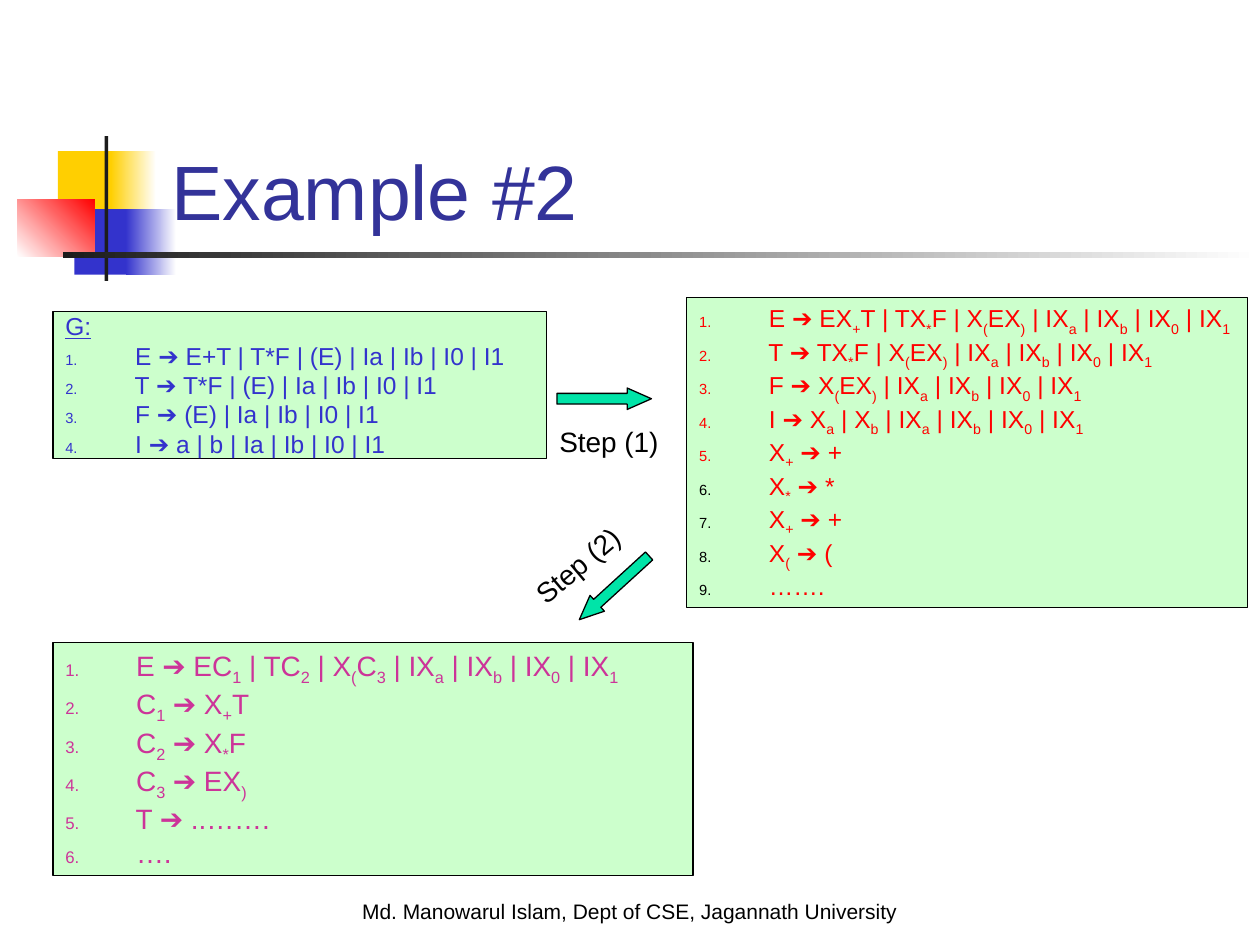
from lxml.etree import SubElement as Sub
from pptx import Presentation
from pptx.dml.color import RGBColor
from pptx.enum.shapes import MSO_SHAPE as Kind
from pptx.enum.text import MSO_ANCHOR as Anchor, MSO_AUTO_SIZE as Fit, PP_ALIGN as Align
from pptx.oxml.ns import qn
from pptx.util import Inches, Pt

THEME = dict(
    font="Arial", title=44, label=16, foot=12,
    navy="333399", blue="3333CC", gold="FFCF01", red="FF0000", pink="CC3499",
    dark="1C1C1C", black="000000", white="FFFFFF", mint="CCFFCC", teal="00E4A8",
)

TITLE = "Example #2"
FOOTER = "Md. Manowarul Islam, Dept of CSE, Jagannath University"

# place, fill colours (two make a gradient), gradient angle
DECOR = [
    ((0.46, 1.2, 0.48, 0.52), ["gold"], 0),
    ((0.88, 1.2, 0.36, 0.52), ["gold", "white"], 0),
    ((0.59, 1.66, 0.46, 0.52), ["blue"], 0),
    ((1, 1.66, 0.4, 0.52), ["blue", "white"], 0),
    ((0.14, 1.58, 0.61, 0.46), ["white", "red"], 45),
    ((0.83, 1.08, 0.03, 1.15), ["dark"], 0),
    ((0.5, 2, 9.5, 0.05), ["dark", "white"], 0),
]

# In rules, "_" lowers the one character after it.
ENDS = "IX_a | IX_b | IX_0 | IX_1"
PAREN = "X_(EX_) | " + ENDS
GRAMMARS = [
    dict(at=(0.42, 2.47, 3.92, 1.17), size=14, hue="blue", pad=0, wrap=True, head="G:",
         rules=["E ➔ E+T | T*F | (E) | Ia | Ib | I0 | I1",
                "T ➔ T*F | (E) | Ia | Ib | I0 | I1",
                "F ➔ (E) | Ia | Ib | I0 | I1",
                "I ➔ a | b | Ia | Ib | I0 | I1"]),
    dict(at=(5.45, 2.36, 4.45, 2.46), size=14, hue="red", pad=0.05, wrap=False, plain=6,
         rules=["E ➔ EX_+T | TX_*F | " + PAREN,
                "T ➔ TX_*F | " + PAREN,
                "F ➔ " + PAREN,
                "I ➔ X_a | X_b | " + ENDS,
                "X_+ ➔ +", "X_* ➔ *", "X_+ ➔ +", "X_( ➔ (", "……."]),
    dict(at=(0.42, 5.1, 5.08, 1.85), size=16, hue="pink", pad=0.05, wrap=True,
         rules=["E ➔ EC_1 | TC_2 | X_(C_3 | " + ENDS,
                "C_1 ➔ X_+T", "C_2 ➔ X_*F", "C_3 ➔ EX_)", "T ➔ ..…….", "…."]),
]

# label, label place, arrow place, label turn, arrow turn
STEPS = [
    ("Step (1)", (4.34, 3.32, 0.99, 0.37), (4.42, 3.08, 0.75, 0.17), 0, 0),
    ("Step (2)", (4.09, 4.3, 0.99, 0.37), (4.5, 4.58, 0.75, 0.17), 319.9, 137.6),
]


def color(name):
    return RGBColor.from_string(THEME[name])


def box(at):
    return [Inches(v) for v in at]


def style(run, size, hue):
    run.font.name = THEME["font"]
    run.font.size = Pt(size)
    run.font.color.rgb = color(hue)


def add_block(slide, at, fills, angle=0, kind=Kind.RECTANGLE, edge=False):
    shape = slide.shapes.add_shape(kind, *box(at))
    shape.shadow.inherit = False
    if len(fills) == 1:
        shape.fill.solid()
        shape.fill.fore_color.rgb = color(fills[0])
    else:
        shape.fill.gradient()
        shape.fill.gradient_angle = angle
        for stop, name in zip(shape.fill.gradient_stops, fills):
            stop.color.rgb = color(name)
    if edge:
        shape.line.color.rgb = color("black")
        shape.line.width = Pt(0.75)
    else:
        shape.line.fill.background()
    return shape


def add_label(slide, at, text, size, align=Align.LEFT, wrap=False):
    label = slide.shapes.add_textbox(*box(at))
    frame = label.text_frame
    frame.word_wrap = wrap
    frame.text = text
    para = frame.paragraphs[0]
    para.alignment = align
    style(para.runs[0], size, "black")
    return label


def number(para, hue):
    """Give the paragraph a small automatic number in a hanging indent."""
    props = para._p.get_or_add_pPr()
    props.set("marL", str(Inches(0.5)))
    props.set("indent", str(-Inches(0.5)))
    Sub(Sub(props, qn("a:buClr")), qn("a:srgbClr")).set("val", THEME[hue])
    Sub(props, qn("a:buSzPct")).set("val", "60000")
    Sub(props, qn("a:buFont")).set("typeface", THEME["font"])
    Sub(props, qn("a:buAutoNum")).set("type", "arabicPeriod")


def write_rule(para, rule, size, hue):
    first, *rest = rule.split("_")
    parts = [(" " + first, False)]
    for piece in rest:
        parts += [(piece[0], True), (piece[1:], False)]
    for text, low in parts:
        if text:
            run = para.add_run()
            run.text = text
            style(run, size, hue)
            if low:
                run.font._element.set("baseline", "-25000")


def add_grammar(slide, data):
    size, hue, rules = data["size"], data["hue"], data["rules"]
    frame = add_block(slide, data["at"], ["mint"], edge=True).text_frame
    frame.word_wrap = data["wrap"]
    frame.auto_size = Fit.SHAPE_TO_FIT_TEXT
    frame.vertical_anchor = Anchor.TOP
    frame.margin_top = frame.margin_bottom = Inches(data["pad"])
    para = frame.paragraphs[0]
    para.alignment = Align.LEFT
    if "head" in data:
        para.text = data["head"]
        style(para.runs[0], size, hue)
        para.runs[0].font.underline = True
    plain = data.get("plain", len(rules) + 1)  # numbers are black from here on
    for n, rule in enumerate(rules, 1):
        if n > 1 or "head" in data:
            para = frame.add_paragraph()
            para.alignment = Align.LEFT
        number(para, "black" if n >= plain else hue)
        write_rule(para, rule, size, hue)


def add_title(slide):
    title = slide.shapes.title
    title.left, title.top, title.width, title.height = box((1.26, 0.67, 8.52, 1.25))
    frame = title.text_frame
    frame.text = TITLE
    frame.auto_size = Fit.NONE
    frame.vertical_anchor = Anchor.BOTTOM
    para = frame.paragraphs[0]
    para.alignment = Align.LEFT
    style(para.runs[0], THEME["title"], "navy")


def main():
    deck = Presentation()
    deck.slide_width, deck.slide_height = Inches(10), Inches(7.5)
    slide = deck.slides.add_slide(deck.slide_layouts[5])
    for at, fills, angle in DECOR:
        add_block(slide, at, fills, angle)
    add_label(slide, (0, 7.08, 10, 0.3), FOOTER, THEME["foot"], Align.CENTER, True)
    add_title(slide)
    for data in GRAMMARS:
        add_grammar(slide, data)
    for text, spot, at, tilt, turn in STEPS:
        arrow = add_block(slide, at, ["teal"], kind=Kind.RIGHT_ARROW, edge=True)
        arrow.adjustments[1] = 1.13
        arrow.rotation = turn
        add_label(slide, spot, text, THEME["label"]).rotation = tilt
    deck.save("out.pptx")


if __name__ == "__main__":
    main()
